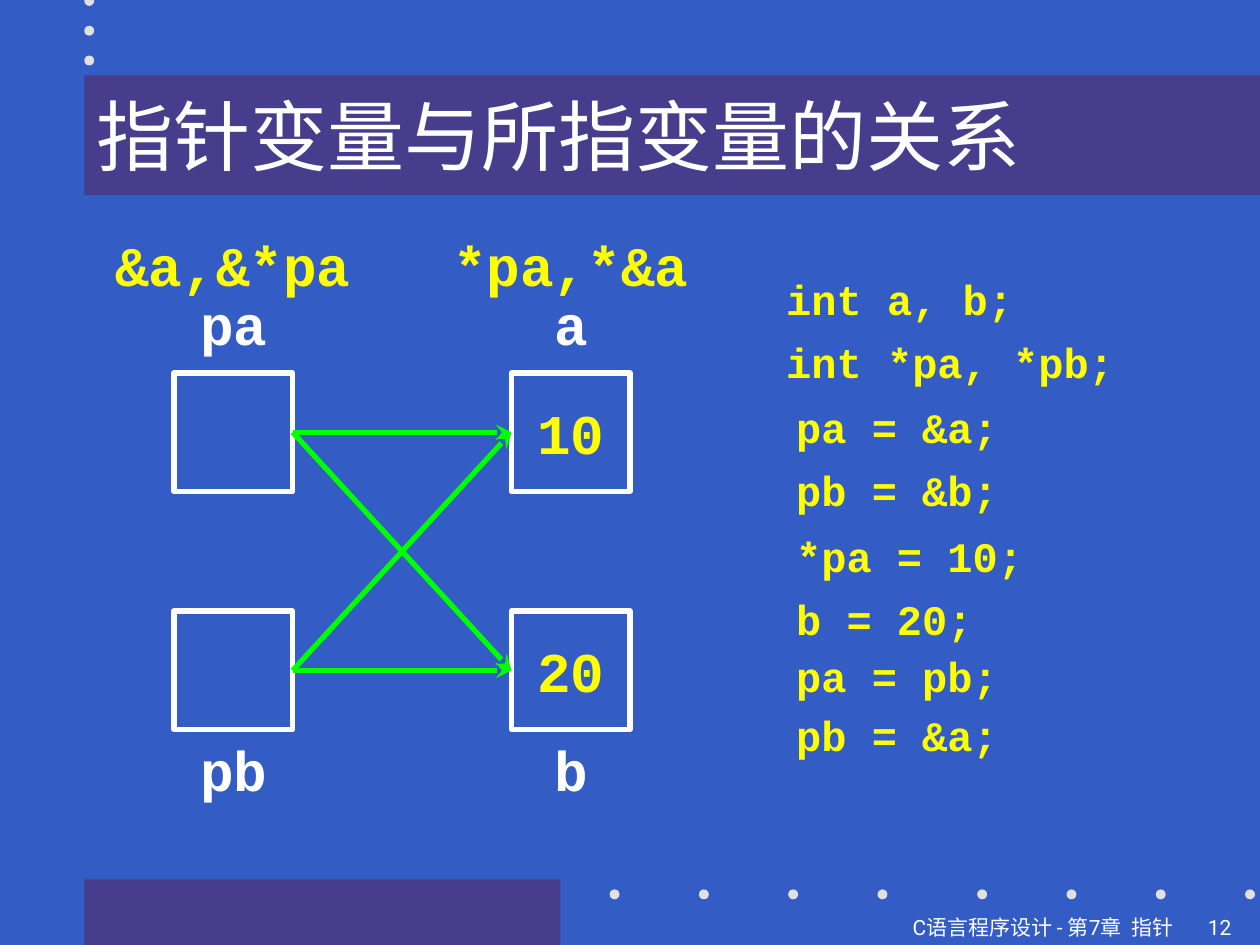
from lxml import etree
from pptx import Presentation
from pptx.dml.color import RGBColor
from pptx.enum.shapes import MSO_CONNECTOR, MSO_SHAPE
from pptx.enum.text import MSO_ANCHOR, PP_ALIGN
from pptx.oxml.ns import qn
from pptx.util import Cm, Pt

RECT, OVAL = MSO_SHAPE.RECTANGLE, MSO_SHAPE.OVAL
STRAIGHT = MSO_CONNECTOR.STRAIGHT
MIDDLE, TOP = MSO_ANCHOR.MIDDLE, MSO_ANCHOR.TOP
LEFT, CENTER, RIGHT = PP_ALIGN.LEFT, PP_ALIGN.CENTER, PP_ALIGN.RIGHT

BLUE = RGBColor(0x33, 0x5C, 0xC5)
PURPLE = RGBColor(0x47, 0x3D, 0x8C)
GREY = RGBColor(0xE1, 0xE1, 0xE1)
WHITE = RGBColor(0xFF, 0xFF, 0xFF)
YELLOW = RGBColor(0xFF, 0xFF, 0x00)
GREEN = RGBColor(0x00, 0xFF, 0x00)

TITLE = {"name": "Times New Roman", "size": Pt(44)}
LABEL = {"name": "Courier New", "size": Pt(32), "bold": True}
CODE = {"name": "Courier New", "size": Pt(24), "bold": True}
FOOTER = {"name": "Roboto", "size": Pt(12)}

COLUMNS = (3.51, 10.31)
ROWS = (7.52, 12.32)
BOX = 2.39


def write(s, lines, style, color, align=LEFT, anchor=TOP, wrap=True, spacing=1.0):
    """Fill a shape with one paragraph per line, all in one style."""
    tf = s.text_frame
    tf.word_wrap, tf.vertical_anchor = wrap, anchor
    for i, line in enumerate(lines):
        p = tf.paragraphs[0] if i == 0 else tf.add_paragraph()
        p.alignment, p.line_spacing = align, spacing
        r = p.add_run()
        r.text = line
        for key, value in style.items():
            setattr(r.font, key, value)
        r.font.color.rgb = color


def add_text(sp, x, y, w, h, lines, style, color, **layout):
    """Add a text box measured in centimetres."""
    s = sp.add_textbox(Cm(x), Cm(y), Cm(w), Cm(h))
    write(s, lines, style, color, **layout)


def add_solid(sp, kind, x, y, w, h, color):
    """Add a filled shape without an outline."""
    s = sp.add_shape(kind, Cm(x), Cm(y), Cm(w), Cm(h))
    s.shadow.inherit = False
    s.fill.solid()
    s.fill.fore_color.rgb = color
    s.line.fill.background()
    return s


def add_cell(sp, x, y, value):
    """Add the outlined square of a variable, with its value if it has one."""
    s = sp.add_shape(RECT, Cm(x), Cm(y), Cm(BOX), Cm(BOX))
    s.shadow.inherit = False
    s.fill.background()
    s.line.color.rgb, s.line.width = WHITE, Pt(3)
    if value:
        write(s, [value], LABEL, YELLOW, align=CENTER, anchor=MIDDLE, wrap=False)
    return s


def add_arrow(sp, start, end):
    """Join the right side of one square to the left side of another."""
    s = sp.add_connector(STRAIGHT, 0, 0, 0, 0)
    s.begin_connect(start, 3)
    s.end_connect(end, 1)
    s.line.color.rgb, s.line.width = GREEN, Pt(3)
    etree.SubElement(s.line._get_or_add_ln(), qn("a:tailEnd"), type="stealth")
    etree.SubElement(s._element.spPr, qn("a:effectLst"))


def add_frame(sp):
    """Draw the bars, the dots, the title and the footer."""
    add_solid(sp, RECT, 1.7, 17.73, 9.6, 1.32, PURPLE)
    dots = [(1.7, -0.08 + 0.6 * i) for i in range(3)]
    dots += [(x + 1.8 * i, 17.93) for x in (12.29, 19.7) for i in range(4)]
    for x, y in dots:
        add_solid(sp, OVAL, x, y, 0.2, 0.2, GREY)
    title = add_solid(sp, RECT, 1.7, 1.52, 23.7, 2.41, PURPLE)
    write(title, ["指针变量与所指变量的关系"], TITLE, WHITE, anchor=MIDDLE)
    add_text(sp, 0, 18.31, 23.9, 0.71, ["C语言程序设计 - 第7章  指针"],
             FOOTER, WHITE, align=RIGHT)
    add_text(sp, 24.1, 18.31, 1.3, 0.71, ["12"], FOOTER, WHITE)


def add_diagram(sp):
    """Draw the pointers, the variables and the arrows between them."""
    pointers = [add_cell(sp, COLUMNS[0], y, "") for y in ROWS]
    variables = [add_cell(sp, COLUMNS[1], y, v) for y, v in zip(ROWS, ("10", "20"))]
    for pointer in pointers:
        for variable in variables:
            add_arrow(sp, pointer, variable)
    for x, names in zip(COLUMNS, (("pa", "pb"), ("a", "b"))):
        for y, name in zip((5.72, 14.71), names):
            add_text(sp, x, y, 2.41, 1.63, [name], LABEL, WHITE, align=CENTER)
    for x, w, text in ((1.9, 5.6, "&a,&*pa"), (8.51, 6, "*pa,*&a")):
        add_text(sp, x, 4.52, w, 1.63, [text], LABEL, YELLOW, align=CENTER)


def add_code(sp):
    """Write the statements in their groups."""
    groups = (
        (15.6, 5.13, 7.11, ["int a, b;", "int *pa, *pb;"]),
        (15.8, 7.72, 4.57, ["pa = &a;", "pb = &b;"]),
        (15.8, 10.31, 5.08, ["*pa = 10;", "b = 20;"]),
        (15.8, 12.73, 4.57, ["pa = pb;"]),
        (15.8, 13.92, 4.57, ["pb = &a;"]),
    )
    for x, y, w, lines in groups:
        add_text(sp, x, y, w, 0.25 + 1.27 * len(lines), lines, CODE, YELLOW,
                 wrap=False, spacing=1.25)


def main():
    """Build the slide and save it."""
    prs = Presentation()
    prs.slide_width, prs.slide_height = Cm(25.4), Cm(19.05)
    slide = prs.slides.add_slide(prs.slide_layouts[6])
    slide.background.fill.solid()
    slide.background.fill.fore_color.rgb = BLUE
    sp = slide.shapes
    add_frame(sp)
    add_diagram(sp)
    add_code(sp)
    prs.save("out.pptx")


if __name__ == "__main__":
    main()
